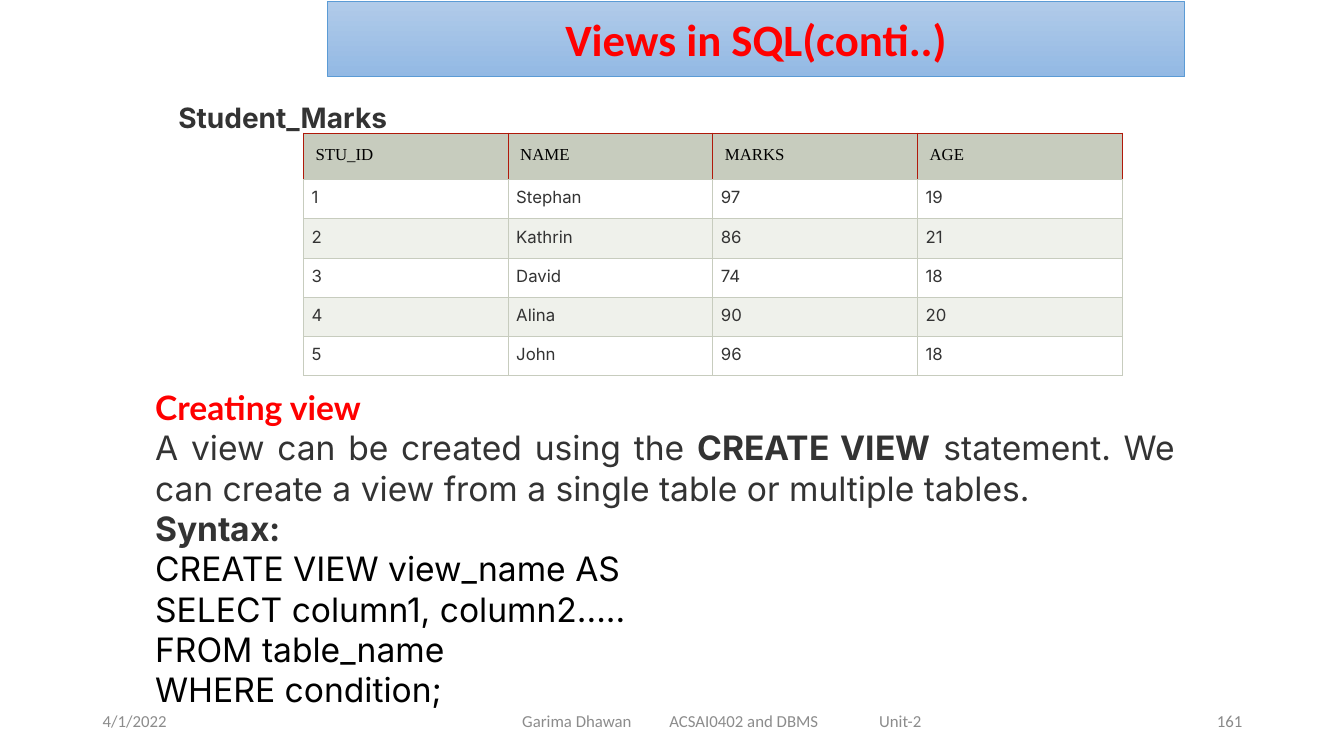
from dataclasses import dataclass

from lxml import etree
from pptx import Presentation
from pptx.dml.color import RGBColor
from pptx.enum.shapes import MSO_SHAPE
from pptx.enum.text import MSO_ANCHOR, PP_ALIGN
from pptx.oxml.ns import qn
from pptx.util import Inches, Pt

RECTANGLE = MSO_SHAPE.RECTANGLE
TOP, MIDDLE = MSO_ANCHOR.TOP, MSO_ANCHOR.MIDDLE
LEFT, CENTER, RIGHT, JUSTIFY = PP_ALIGN.LEFT, PP_ALIGN.CENTER, PP_ALIGN.RIGHT, PP_ALIGN.JUSTIFY

BLACK = RGBColor(0x00, 0x00, 0x00)
WHITE = RGBColor(0xFF, 0xFF, 0xFF)
RED = RGBColor(0xFF, 0x00, 0x00)
DARK_GRAY = RGBColor(0x33, 0x33, 0x33)
FOOTER_GRAY = RGBColor(0x8C, 0x8C, 0x8C)
NUMBER_GRAY = RGBColor(0x89, 0x89, 0x89)
SAGE = RGBColor(0xC7, 0xCC, 0xBE)
PALE_SAGE = RGBColor(0xEF, 0xF1, 0xEB)
HEADER_RULE = RGBColor(0xB0, 0x19, 0x0A)
BANNER_LIGHT = RGBColor(0xB1, 0xCB, 0xE9)
BANNER_DARK = RGBColor(0x93, 0xB9, 0xE4)
BANNER_LINE = RGBColor(0x5B, 0x9B, 0xD5)

MARKS = [
    ("STU_ID", "NAME", "MARKS", "AGE"),
    ("1", "Stephan", "97", "19"),
    ("2", "Kathrin", "86", "21"),
    ("3", "David", "74", "18"),
    ("4", "Alina", "90", "20"),
    ("5", "John", "96", "18"),
]
COLUMN_WIDTH, HEADER_HEIGHT, ROW_HEIGHT = 2.03, 0.46, 0.39


@dataclass
class Run:
    text: str
    font: str = "Inter"
    color: RGBColor = DARK_GRAY
    bold: bool = False


@dataclass
class FooterItem:
    text: str
    left: float
    width: float
    align: PP_ALIGN
    color: RGBColor = FOOTER_GRAY
    inset: float = 0.1
    tabs: tuple[float, ...] = ()


FOOTER = [
    FooterItem("4/1/2022", 0.92, 3, LEFT),
    FooterItem("Garima Dhawan\tACSAI0402 and DBMS\tUnit-2", 4.42, 5.5, LEFT,
               inset=0.76, tabs=(1.46, 3.54)),
    FooterItem("161", 9.42, 3, RIGHT, NUMBER_GRAY),
]

EXPLANATION = [
    [Run("Creating view", "Lato", RED, True)],
    [Run("A view can be created using the "), Run("CREATE VIEW", bold=True),
     Run(" statement. We can create a view from a single table or multiple tables.")],
    [Run("Syntax:", bold=True)],
    [Run("CREATE VIEW view_name AS", color=BLACK)],
    [Run("SELECT column1, column2.....", color=BLACK)],
    [Run("FROM table_name", color=BLACK)],
    [Run("WHERE condition;", color=BLACK)],
]


def write(frame, paragraphs: list[list[Run]], *, size: float, align: PP_ALIGN = LEFT,
          anchor: MSO_ANCHOR = TOP, tabs: tuple[float, ...] = ()) -> None:
    frame.word_wrap = True
    frame.vertical_anchor = anchor
    for index, runs in enumerate(paragraphs):
        paragraph = frame.paragraphs[0] if index == 0 else frame.add_paragraph()
        paragraph.alignment = align
        if tabs:
            tab_list = etree.SubElement(paragraph._p.get_or_add_pPr(), qn("a:tabLst"))
            for stop in tabs:
                etree.SubElement(tab_list, qn("a:tab"), pos=str(Inches(stop)), algn="l")
        for item in runs:
            run = paragraph.add_run()
            run.text = item.text
            run.font.name = item.font
            run.font.size = Pt(size)
            run.font.bold = item.bold
            run.font.color.rgb = item.color


def add_box(slide, left: float, top: float, width: float, height: float):
    box = slide.shapes.add_shape(RECTANGLE, Inches(left), Inches(top), Inches(width), Inches(height))
    box.shadow.inherit = False
    return box


def set_borders(cell, sides: RGBColor, bottom: RGBColor) -> None:
    """Rule the left, right and top in one colour and the bottom in another."""
    properties = cell._tc.get_or_add_tcPr()
    edges = {"a:lnL": sides, "a:lnR": sides, "a:lnT": sides, "a:lnB": bottom}
    for position, (tag, color) in enumerate(edges.items()):
        line = etree.Element(qn(tag), w=str(Pt(0.75)))
        fill = etree.SubElement(line, qn("a:solidFill"))
        etree.SubElement(fill, qn("a:srgbClr"), val=str(color))
        properties.insert(position, line)


def add_footer(slide) -> None:
    for item in FOOTER:
        box = slide.shapes.add_textbox(Inches(item.left), Inches(6.95), Inches(item.width), Inches(0.4))
        box.text_frame.margin_left = Inches(item.inset)
        write(box.text_frame, [[Run(item.text, "Calibri", item.color)]], size=12,
              align=item.align, anchor=MIDDLE, tabs=item.tabs)


def add_table_caption(slide) -> None:
    caption = add_box(slide, 1.67, 0.95, 9.64, 0.74)
    caption.fill.solid()
    caption.fill.fore_color.rgb = WHITE
    caption.line.fill.background()
    write(caption.text_frame, [[Run("Student_Marks", bold=True)]], size=20, align=JUSTIFY)


def add_marks_table(slide) -> None:
    columns = len(MARKS[0])
    height = HEADER_HEIGHT + ROW_HEIGHT * (len(MARKS) - 1)
    table = slide.shapes.add_table(len(MARKS), columns, Inches(3.01), Inches(1.32),
                                   Inches(COLUMN_WIDTH * columns), Inches(height)).table
    table.horz_banding = False
    for row_index, record in enumerate(MARKS):
        header = row_index == 0
        table.rows[row_index].height = Inches(HEADER_HEIGHT if header else ROW_HEIGHT)
        band = SAGE if header else WHITE if row_index % 2 else PALE_SAGE
        inset = Inches(0.12 if header else 0.08)
        for column_index, value in enumerate(record):
            cell = table.cell(row_index, column_index)
            cell.margin_left = cell.margin_right = cell.margin_top = cell.margin_bottom = inset
            cell.fill.solid()
            cell.fill.fore_color.rgb = band
            set_borders(cell, HEADER_RULE if header else SAGE, SAGE)
            run = Run(value, "Times New Roman", BLACK) if header else Run(value)
            write(cell.text_frame, [[run]], size=12, align=LEFT if header else JUSTIFY)


def add_explanation(slide) -> None:
    box = slide.shapes.add_textbox(Inches(1.44), Inches(3.79), Inches(10.31), Inches(3.64))
    write(box.text_frame, EXPLANATION, size=24, align=JUSTIFY)


def add_title_banner(slide) -> None:
    banner = add_box(slide, 3.25, 0.01, 8.5, 0.75)
    banner.fill.gradient()
    banner.fill.gradient_angle = 270
    for stop, color in zip(banner.fill.gradient_stops, (BANNER_LIGHT, BANNER_DARK)):
        stop.color.rgb = color
    banner.line.color.rgb = BANNER_LINE
    banner.line.width = Pt(0.5)
    write(banner.text_frame, [[Run("Views in SQL(conti..)", "Calibri", RED, True)]],
          size=32, align=CENTER, anchor=MIDDLE)


def main() -> None:
    presentation = Presentation()
    presentation.slide_width = Inches(13.33)
    presentation.slide_height = Inches(7.5)
    slide = presentation.slides.add_slide(presentation.slide_layouts[6])
    add_footer(slide)
    add_table_caption(slide)
    add_marks_table(slide)
    add_explanation(slide)
    add_title_banner(slide)
    presentation.save("out.pptx")


if __name__ == "__main__":
    main()
